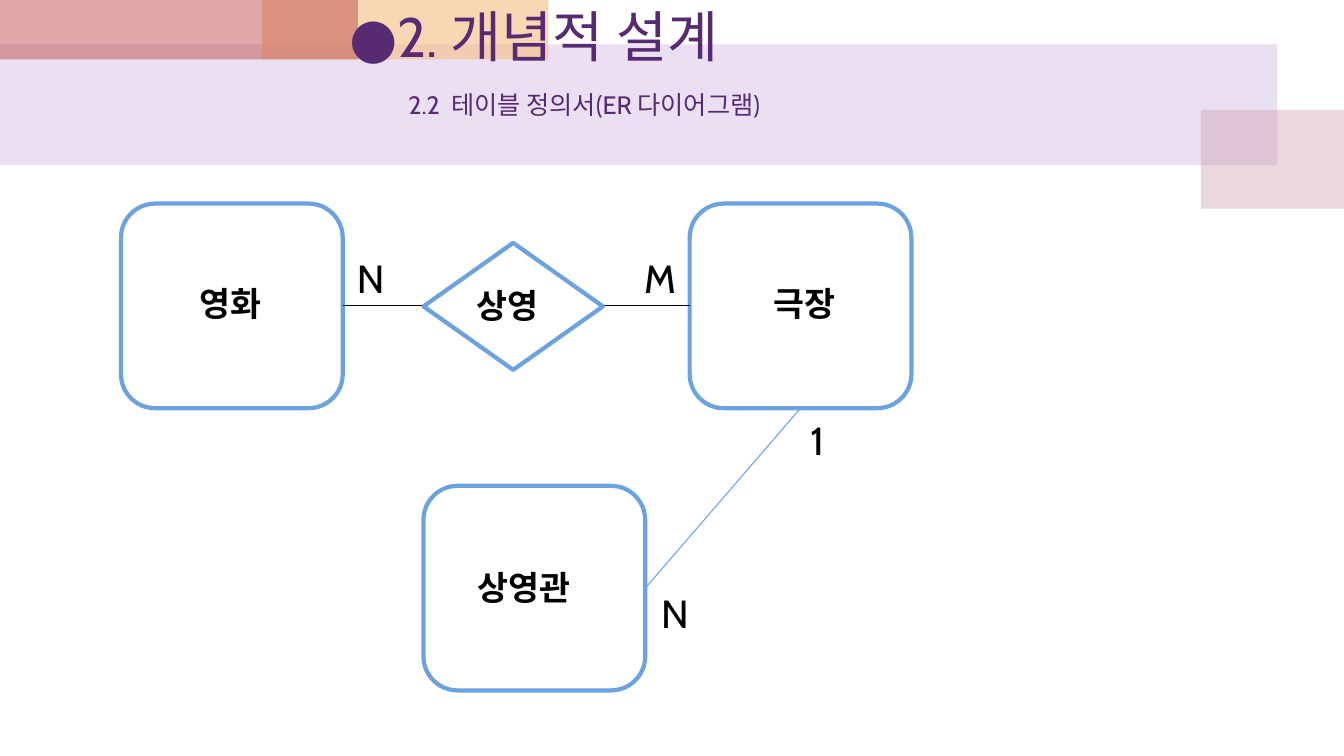
"""Build the entity-relationship slide of a cinema database."""
from lxml import etree
from pptx import Presentation
from pptx.dml.color import RGBColor
from pptx.enum.shapes import MSO_CONNECTOR, MSO_SHAPE
from pptx.enum.text import MSO_ANCHOR, PP_ALIGN
from pptx.oxml.ns import qn
from pptx.util import Inches, Pt

RECTANGLE = MSO_SHAPE.RECTANGLE
ENTITY = MSO_SHAPE.ROUNDED_RECTANGLE
RELATION = MSO_SHAPE.FLOWCHART_DECISION
STRAIGHT = MSO_CONNECTOR.STRAIGHT
MIDDLE, CENTER = MSO_ANCHOR.MIDDLE, PP_ALIGN.CENTER

WIDTH, HEIGHT = 13.33, 7.5
FONT, BLACK, WHITE, PURPLE, BLUE = "Cabin", "000000", "FFFFFF", "562B71", "6BA2DF"
LEFT, BOTTOM, RIGHT = 1, 2, 3

BANDS = [
    ((0, 0.44, 12.67, 1.2), "BF98D8", 30),
    ((11.91, 1.09, 1.42, 0.98), "CC9EAC", 40),
    ((2.6, 0, 2.84, 0.59), "F5BC83", 60),
    ((0, 0, 3.55, 0.59), "C0504D", 50),
]
TITLE_BOX = (0.63, 0.26, 9.33, 1.1)
TITLE_LINES = [
    ("●2. 개념적 설계", 39.6, 0, 0),
    ("2.2\u00a0 테이블 정의서(ER 다이어그램)", 18, 15, 1),
]
TITLE_FRAME = {"vertical_anchor": MIDDLE, "word_wrap": True,
               "margin_top": Inches(0.05), "margin_bottom": Inches(0.47)}
ENTITY_SIZE = (2.2, 2.03)
ENTITIES = {
    "극장": ((6.84, 2.02), (7.57, 2.76, 1.3, 0.5)),
    "영화": ((1.2, 2.02), (1.88, 2.76, 1.3, 0.5)),
    "상영관": ((4.2, 4.82), (4.64, 5.58, 1.76, 0.5)),
}
LINKS = [("영화", RIGHT, "극장", LEFT, BLACK), ("극장", BOTTOM, "상영관", RIGHT, BLUE)]
SCREENING = ("상영", (4.2, 2.41, 1.78, 1.26), (4.63, 2.78, 1.3, 0.5))
CARDINALITY_SIZE = (0.75, 0.57)
CARDINALITIES = [("1", (7.94, 4.08)), ("N", (6.46, 5.8)),
                 ("N", (3.44, 2.47)), ("M", (6.29, 2.47))]


def color(value):
    return RGBColor.from_string(value)


def inches(box):
    return [Inches(length) for length in box]


def write(paragraph, words, size, ink, bold=False):
    run = paragraph.add_run()
    run.text = words
    for name, value in {"name": FONT, "size": Pt(size), "bold": bold}.items():
        setattr(run.font, name, value)
    run.font.color.rgb = color(ink)
    for script in ("a:ea", "a:cs"):
        etree.SubElement(run.font._element, qn(script)).set("typeface", FONT)


def add_filled(slide, kind, box, fill, outline=None):
    shape = slide.shapes.add_shape(kind, *inches(box))
    shape.shadow.inherit = False
    shape.fill.solid()
    shape.fill.fore_color.rgb = color(fill)
    if outline:
        shape.line.color.rgb = color(outline)
        shape.line.width = Pt(3)
    else:
        shape.line.fill.background()
    return shape


def add_band(slide, box, fill, opacity):
    band = add_filled(slide, RECTANGLE, box, fill)
    tint = band.fill._xPr.find(qn("a:solidFill"))[0]
    etree.SubElement(tint, qn("a:alpha")).set("val", str(opacity * 1000))


def add_label(slide, words, box, size, bold=False):
    frame = slide.shapes.add_textbox(*inches(box)).text_frame
    frame.word_wrap = True
    write(frame.paragraphs[0], words, size, BLACK, bold)


def add_link(slide, start, start_site, end, end_site, ink):
    link = slide.shapes.add_connector(STRAIGHT, 0, 0, 0, 0)
    link.begin_connect(start, start_site)
    link.end_connect(end, end_site)
    link.line.color.rgb = color(ink)
    link.line.width = Pt(0.75)
    etree.SubElement(link._element.spPr, qn("a:effectLst"))


def fill_title(title):
    for name, value in zip(("left", "top", "width", "height"), inches(TITLE_BOX)):
        setattr(title, name, value)
    frame = title.text_frame
    for name, value in TITLE_FRAME.items():
        setattr(frame, name, value)
    for index, (words, size, gap, indent) in enumerate(TITLE_LINES):
        paragraph = frame.add_paragraph() if index else frame.paragraphs[0]
        paragraph.alignment = CENTER
        paragraph.space_before = Pt(gap)
        paragraph._p.get_or_add_pPr().set("marL", str(Inches(indent)))
        write(paragraph, words, size, PURPLE)


def main():
    deck = Presentation()
    deck.slide_width, deck.slide_height = inches((WIDTH, HEIGHT))
    slide = deck.slides.add_slide(deck.slide_layouts[5])
    title = slide.shapes.title
    for band in BANDS:
        add_band(slide, *band)
    slide.shapes._spTree.append(title._element)
    fill_title(title)
    for words, place in CARDINALITIES:
        add_label(slide, words, place + CARDINALITY_SIZE, 28)
    entities = {}
    for name, (place, label_box) in ENTITIES.items():
        entities[name] = add_filled(slide, ENTITY, place + ENTITY_SIZE, WHITE, BLUE)
        add_label(slide, name, label_box, 24, True)
    for start, start_site, end, end_site, ink in LINKS:
        add_link(slide, entities[start], start_site, entities[end], end_site, ink)
    name, diamond_box, label_box = SCREENING
    add_filled(slide, RELATION, diamond_box, WHITE, BLUE)
    add_label(slide, name, label_box, 24, True)
    deck.save("out.pptx")


if __name__ == "__main__":
    main()
